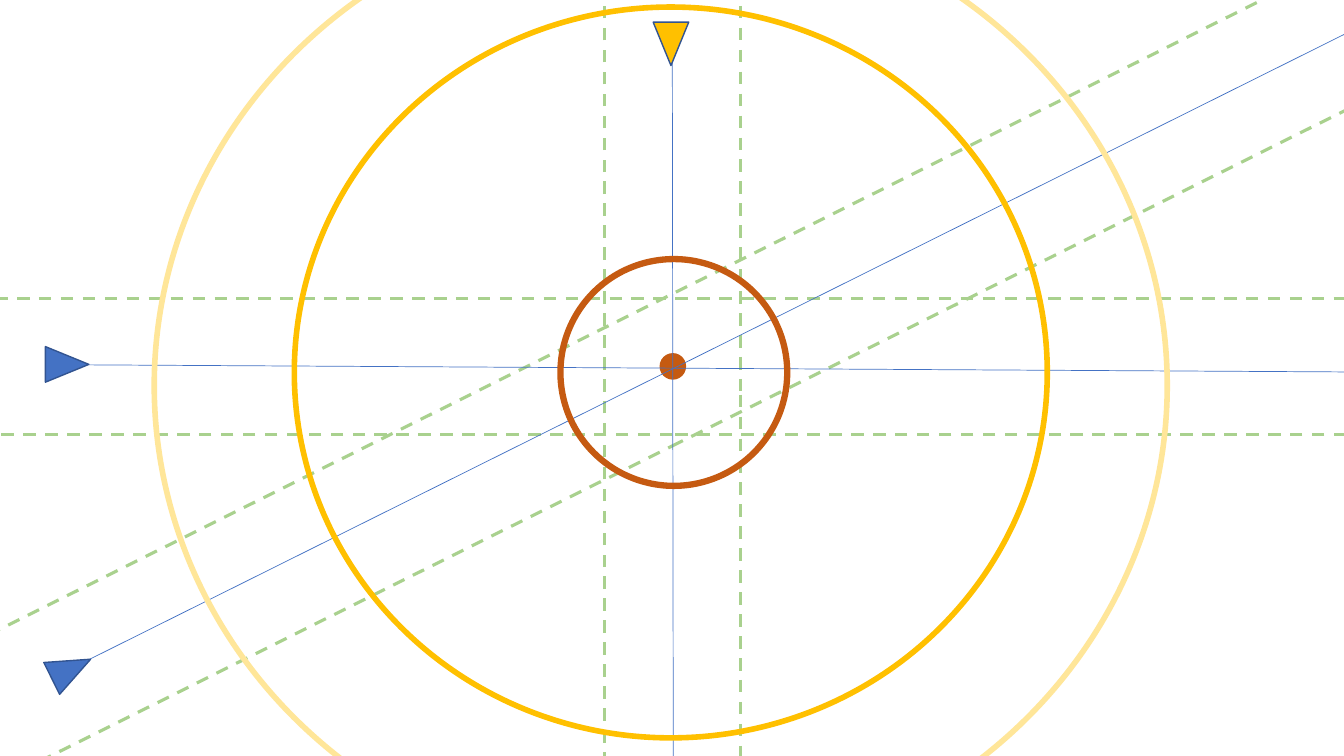
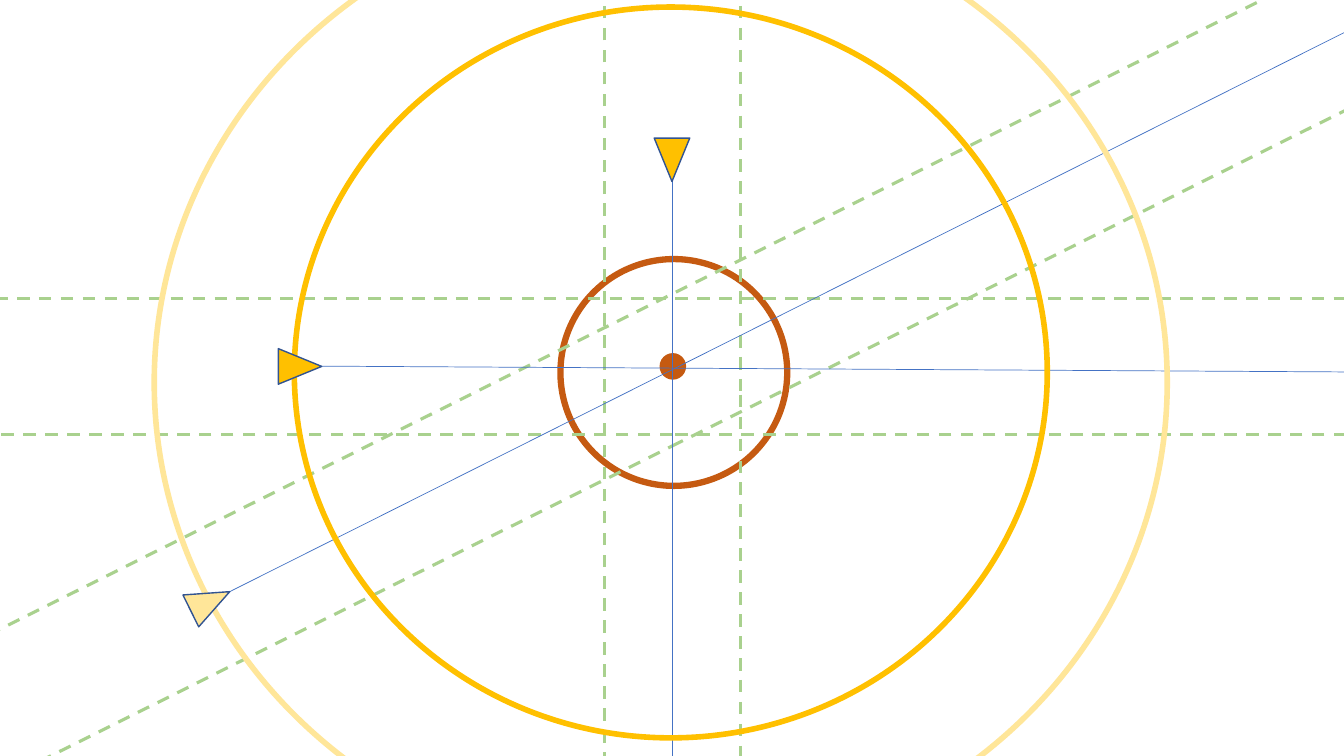
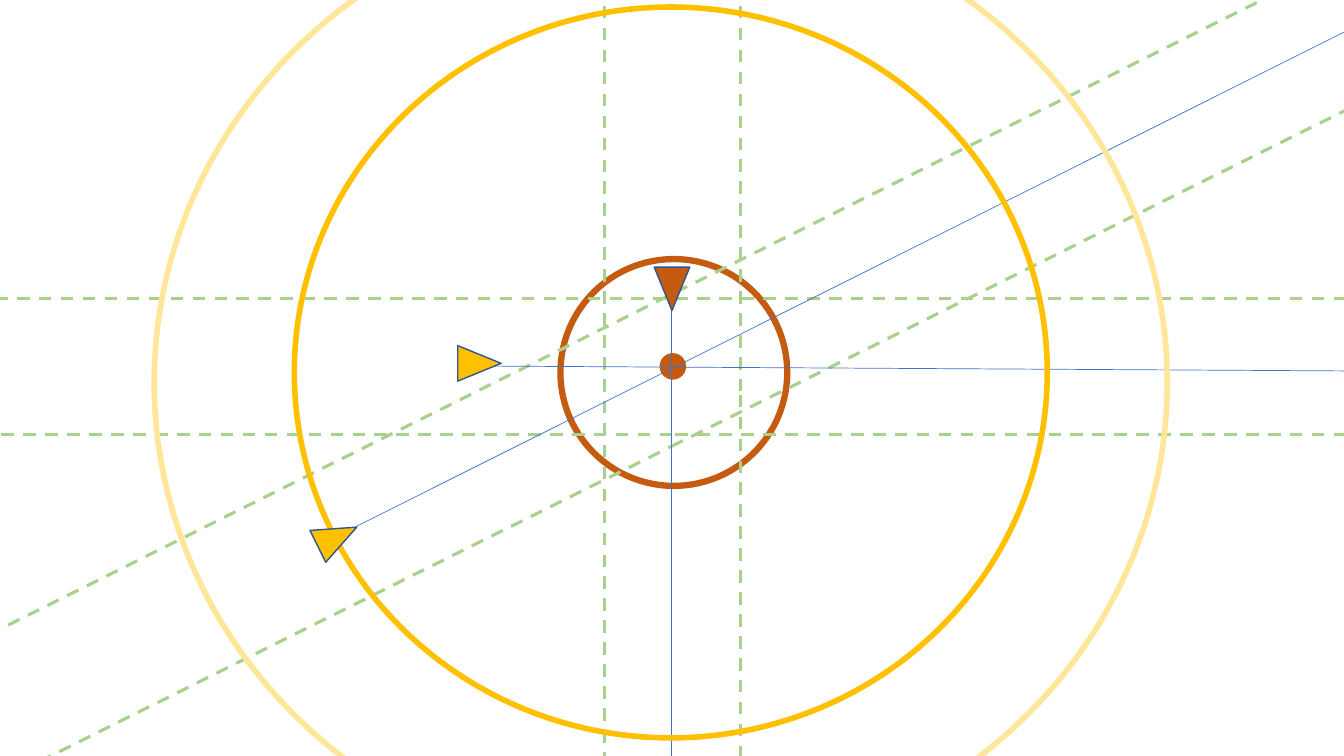
from dataclasses import dataclass
from typing import Optional

from lxml.etree import SubElement
from pptx import Presentation
from pptx.dml.color import RGBColor
from pptx.enum.dml import MSO_LINE
from pptx.enum.shapes import MSO_CONNECTOR, MSO_SHAPE
from pptx.oxml.ns import qn
from pptx.util import Pt

BLUE = "4472C4"
NAVY = "325491"
GOLD = "FFC000"
PALE_GOLD = "FFE699"
RUST = "C55A11"
GREEN = "A9D18E"
MARKER_WIDTH = 25.4
MARKER_HEIGHT = 31
BAND_HEIGHT = 97.2


@dataclass(frozen=True)
class Figure:
    kind: MSO_SHAPE
    left: float
    top: float
    width: float
    height: float
    line: str
    weight: float
    fill: Optional[str] = None
    rotation: float = 0
    dashed: bool = False


@dataclass(frozen=True)
class Sight:
    start: tuple[float, float]
    end: tuple[float, float]


@dataclass(frozen=True)
class Scene:
    sights: list[Sight]
    markers: list[Figure]
    outer_ring_top: float = -70.56
    inner_ring_in_front: bool = False
    grouped: bool = False


def band(left: float, top: float, width: float, rotation: float = 0) -> Figure:
    return Figure(MSO_SHAPE.RECTANGLE, left, top, width, BAND_HEIGHT,
                  GREEN, 2.25, rotation=rotation, dashed=True)


def ring(left: float, top: float, width: float, height: float,
         color: str, weight: float = 4) -> Figure:
    return Figure(MSO_SHAPE.OVAL, left, top, width, height, color, weight)


def marker(left: float, top: float, rotation: float, fill: str) -> Figure:
    return Figure(MSO_SHAPE.ISOSCELES_TRIANGLE, left, top, MARKER_WIDTH,
                  MARKER_HEIGHT, NAVY, 1, fill, rotation)


BANDS = [
    band(-18.72, 213.12, 997.92),
    band(-18.72, 233.28, 997.92, 270),
    band(-138.96, 223.92, 1205.28, 333.5),
]
TARGET = Figure(MSO_SHAPE.OVAL, 471.6, 252.72, 18, 18, RUST, 1, RUST)
INNER_RING = ring(400.32, 185.04, 162, 162, RUST, 4.5)
MIDDLE_RING = ring(210.24, 5.04, 537.84, 522, GOLD)

SCENES = [
    Scene(
        sights=[
            Sight((63.36, 260.64), (960, 265.68)),
            Sight((61.2, 472.32), (992.16, 8.64)),
            Sight((480.24, 30.96), (480.96, 565.92)),
        ],
        markers=[
            marker(35.28, 244.8, 90, BLUE),
            marker(38.16, 462.24, 63.7, BLUE),
            marker(466.56, 15.84, 180, GOLD),
        ],
        outer_ring_top=-68.4,
        inner_ring_in_front=True,
    ),
    Scene(
        sights=[
            Sight((198.72, 261.36), (960, 265.68)),
            Sight((136.8, 436.32), (992.16, 7.2)),
            Sight((480.24, 129.6), (480.24, 565.92)),
        ],
        markers=[
            marker(201.6, 246.24, 90, GOLD),
            marker(137.52, 414, 63.7, PALE_GOLD),
            marker(467.28, 98.64, 180, GOLD),
        ],
    ),
    Scene(
        sights=[
            Sight((326.88, 261.36), (1087.92, 265.68)),
            Sight((231.84, 387.36), (1087.92, -41.04)),
            Sight((479.52, 221.76), (479.52, 658.8)),
        ],
        markers=[
            marker(329.76, 244.08, 90, GOLD),
            marker(228.24, 367.92, 63.7, GOLD),
            marker(467.28, 190.8, 180, RUST),
        ],
        grouped=True,
    ),
]


def hex_color(value: str) -> RGBColor:
    return RGBColor.from_string(value)


def draw_figure(shapes, figure: Figure) -> None:
    shape = shapes.add_shape(figure.kind, Pt(figure.left), Pt(figure.top),
                             Pt(figure.width), Pt(figure.height))
    shape.shadow.inherit = False
    shape.rotation = figure.rotation
    shape.line.color.rgb = hex_color(figure.line)
    shape.line.width = Pt(figure.weight)
    if figure.dashed:
        shape.line.dash_style = MSO_LINE.DASH
    if figure.fill:
        shape.fill.solid()
        shape.fill.fore_color.rgb = hex_color(figure.fill)
    else:
        shape.fill.background()


def draw_sight(shapes, sight: Sight) -> None:
    points = [Pt(value) for value in (*sight.start, *sight.end)]
    connector = shapes.add_connector(MSO_CONNECTOR.STRAIGHT, *points)
    connector.line.color.rgb = hex_color(BLUE)
    connector.line.width = Pt(0.5)
    SubElement(connector._element.spPr, qn("a:effectLst"))


def draw_scene(slide, scene: Scene) -> None:
    shapes = slide.shapes
    if scene.grouped:
        shapes = shapes.add_group_shape().shapes
    outer_ring = ring(110.16, scene.outer_ring_top, 723.6, 687.6, PALE_GOLD)
    backdrop = [*BANDS, TARGET]
    foreground = [MIDDLE_RING, outer_ring]
    if scene.inner_ring_in_front:
        foreground.append(INNER_RING)
    else:
        backdrop.insert(0, INNER_RING)
    for figure in backdrop:
        draw_figure(shapes, figure)
    for sight in scene.sights:
        draw_sight(shapes, sight)
    for figure in foreground + scene.markers:
        draw_figure(shapes, figure)


def main() -> None:
    presentation = Presentation()
    presentation.slide_width = Pt(960)
    presentation.slide_height = Pt(540)
    blank_layout = presentation.slide_layouts[6]
    for scene in SCENES:
        draw_scene(presentation.slides.add_slide(blank_layout), scene)
    presentation.save("out.pptx")


if __name__ == "__main__":
    main()
